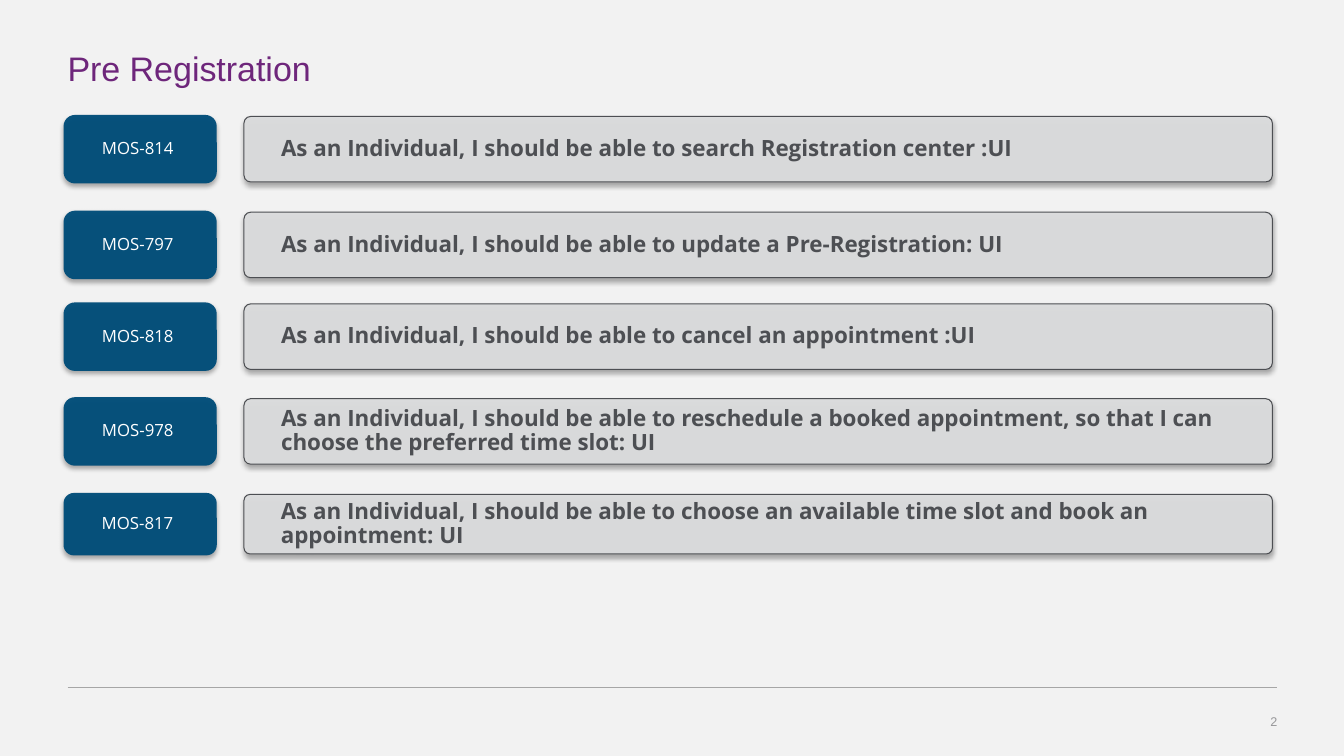
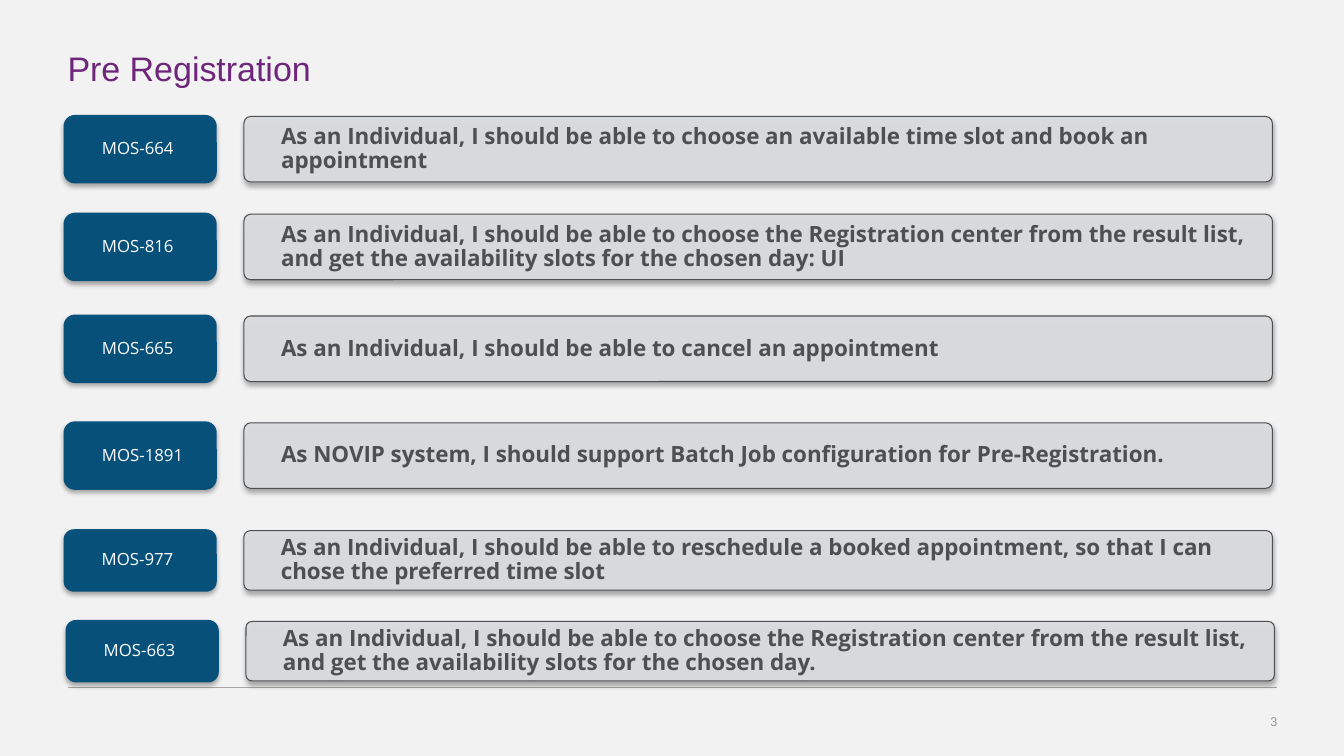
from collections import namedtuple

from lxml.etree import SubElement
from pptx import Presentation
from pptx.dml.color import RGBColor
from pptx.enum.shapes import MSO_CONNECTOR as Connector, MSO_SHAPE as Preset
from pptx.enum.text import MSO_ANCHOR as Anchor, MSO_AUTO_SIZE as AutoSize, PP_ALIGN as Align
from pptx.oxml.ns import qn
from pptx.util import Inches, Pt

Box = namedtuple("Box", "left top width height")

WIDTH, HEIGHT = 13.33, 7.5
MARGIN, CONTENT = 0.67, 12
TITLE_BOX = Box(MARGIN, 0.48, CONTENT, 0.39)
NUMBER_BOX = Box(9.56, 6.96, 3.11, 0.4)
RULE_TOP = 6.82
BADGE_LEFT, BADGE_WIDTH = 0.63, 1.52
BAR_SHIFT, BAR_WIDTH, BAR_TRIM = 1.79, 10.2, 0.03
TALL, SHORT = 0.68, 0.62

BACKGROUND, RULE = "F2F2F2", "A6A6A6"
FLAT = {"margin_left": 0, "margin_right": 0, "word_wrap": True,
        "vertical_anchor": Anchor.MIDDLE, "auto_size": AutoSize.NONE}
PADDED = {**FLAT, "margin_left": Inches(0.1), "margin_right": Inches(0.1)}
TITLE = {"name": "Arial", "size": Pt(24.3), "color": "6E267B"}
NUMBER = {"name": "Arial", "size": Pt(9), "color": "979799"}
BADGE = {"fill": "004D79", "line": None, "corner": 0.167,
         "font": {"name": "Open Sans", "size": Pt(12), "color": "FFFFFF"}}
BAR = {"fill": "DBDCDD", "line": "4D4F53", "corner": 0.102,
       "font": {"name": "Open Sans", "size": Pt(16), "bold": True, "color": "4D4F53"}}

# Each story: code, wording, top of its row, row height, shift to the right
Story = namedtuple("Story", "code wording top height shift", defaults=(TALL, 0))
PAGES = [
    ("Pre Registration", [
        Story("MOS-814", "As an Individual, I should be able to search Registration center :UI", 1.14),
        Story("MOS-797", "As an Individual, I should be able to update a Pre-Registration: UI", 2.09),
        Story("MOS-818", "As an Individual, I should be able to cancel an appointment :UI", 3),
        Story("MOS-978", "As an Individual, I should be able to reschedule a booked appointment, "
              "so that I can choose the preferred time slot: UI", 3.94),
        Story("MOS-817", "As an Individual, I should be able to choose an available time slot "
              "and book an appointment: UI", 4.89, SHORT),
    ]),
    ("Pre Registration", [
        Story("MOS-664", "As an Individual, I should be able to choose an available time slot "
              "and book an appointment", 1.14),
        Story("MOS-816", "As an Individual, I should be able to choose the Registration center "
              "from the result list, and get the availability slots for the chosen day: UI", 2.11),
        Story("MOS-665", "As an Individual, I should be able to cancel an appointment", 3.12),
        Story("MOS-1891", "As NOVIP system, I should support Batch Job configuration "
              "for Pre-Registration.", 4.18),
        Story("MOS-977", "As an Individual, I should be able to reschedule a booked appointment, "
              "so that I can chose the preferred time slot", 5.25, SHORT),
        Story("MOS-663", "As an Individual, I should be able to choose the Registration center "
              "from the result list, and get the availability slots for the chosen day.",
              6.15, SHORT, 0.02),
    ]),
]


def paint(color_format, color):
    """Set a colour from its hex string."""
    color_format.rgb = RGBColor.from_string(color)


def apply(target, values):
    """Set attributes of a text frame or a font; colour goes through paint."""
    for name, value in values.items():
        if name == "color":
            paint(target.color, value)
        else:
            setattr(target, name, value)


def inches(box):
    """Turn a box into lengths."""
    return [Inches(length) for length in box]


def place(shape, box):
    """Move a shape into a box."""
    for name, length in zip(Box._fields, inches(box)):
        setattr(shape, name, length)


def write(frame, text, font, layout):
    """Put one left-aligned paragraph in a text frame."""
    apply(frame, layout)
    para = frame.paragraphs[0]
    para.alignment = Align.LEFT
    span = para.add_run()
    span.text = text
    apply(span.font, font)
    return para


def add_shadow(shape):
    """Give a shape a soft shadow that falls straight down."""
    shape.shadow.inherit = False
    effects = shape.element.spPr.find(qn("a:effectLst"))
    shadow = SubElement(effects, qn("a:outerShdw"), blurRad=str(Pt(3.5)), dist=str(Pt(2.2)),
                        dir="5400000", algn="t", rotWithShape="0")
    black = SubElement(shadow, qn("a:srgbClr"), val="000000")
    SubElement(black, qn("a:alpha"), val="32000")


def add_panel(page, box, text, style):
    """Draw a rounded panel with indented text."""
    panel = page.shapes.add_shape(Preset.ROUNDED_RECTANGLE, *inches(box))
    panel.adjustments[0] = style["corner"]
    panel.fill.solid()
    paint(panel.fill.fore_color, style["fill"])
    fill_color = panel.element.spPr.find(qn("a:solidFill")).find(qn("a:srgbClr"))
    SubElement(fill_color, qn("a:alpha"), val="96000")
    if style["line"]:
        paint(panel.line.color, style["line"])
        panel.line.width = Pt(0.75)
    else:
        panel.line.fill.background()
    add_shadow(panel)
    para = write(panel.text_frame, text, style["font"], PADDED)
    para.line_spacing = 0.9
    properties = para._p.get_or_add_pPr()
    properties.set("marL", str(Inches(0.25)))
    properties.set("indent", "0")


def add_story(page, story):
    """Draw a code badge and its wording bar, centred on one row."""
    badge = Box(BADGE_LEFT + story.shift, story.top, BADGE_WIDTH, story.height)
    bar = Box(badge.left + BAR_SHIFT, badge.top + BAR_TRIM / 2,
              BAR_WIDTH, badge.height - BAR_TRIM)
    add_panel(page, badge, story.code, BADGE)
    add_panel(page, bar, story.wording, BAR)


def add_footer(page, number):
    """Draw the footer rule and the slide number field."""
    rule = page.shapes.add_connector(Connector.STRAIGHT, *inches(
        (MARGIN, RULE_TOP, MARGIN + CONTENT, RULE_TOP)))
    paint(rule.line.color, RULE)
    rule.line.width = Pt(0.75)
    SubElement(rule.element.spPr, qn("a:effectLst"))

    box = page.shapes.add_textbox(*inches(NUMBER_BOX))
    para = write(box.text_frame, str(number), NUMBER, FLAT)
    para.alignment = Align.RIGHT
    span = para.runs[0]._r
    span.tag = qn("a:fld")
    span.set("id", "{B6F15528-21DE-4FAA-801E-634DDDAF4B2B}")
    span.set("type", "slidenum")


def add_page(deck, layout, number, title, stories):
    """Build one slide of stories."""
    page = deck.slides.add_slide(layout)
    place(page.shapes.title, TITLE_BOX)
    write(page.shapes.title.text_frame, title, TITLE, FLAT)
    add_footer(page, number)
    for story in stories:
        add_story(page, story)


def build():
    """Set up the deck and save it."""
    deck = Presentation()
    deck.slide_width, deck.slide_height = Inches(WIDTH), Inches(HEIGHT)
    deck.element.set("firstSlideNum", "2")
    backdrop = deck.slide_master.background.fill
    backdrop.solid()
    paint(backdrop.fore_color, BACKGROUND)
    layout = deck.slide_layouts.get_by_name("Title Only")
    for number, (title, stories) in enumerate(PAGES, start=2):
        add_page(deck, layout, number, title, stories)
    deck.save("out.pptx")


build()
